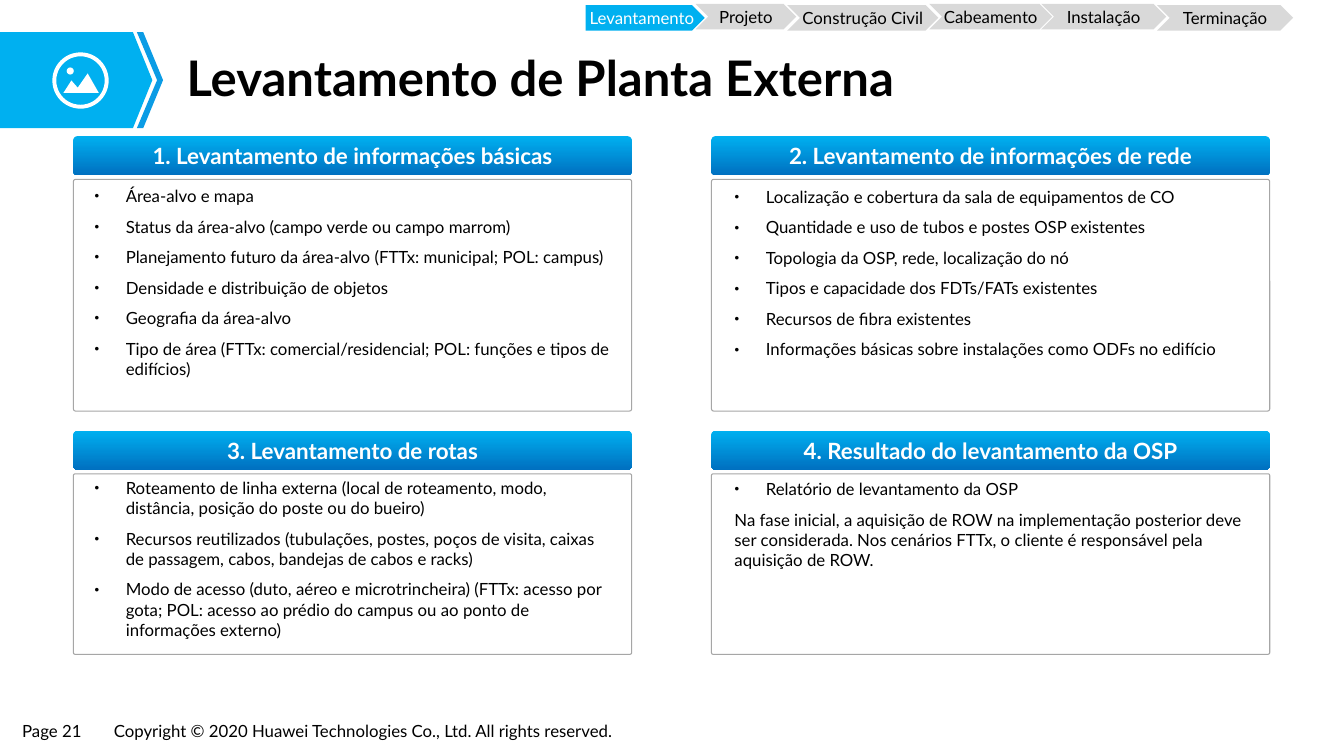
from lxml import etree
from pptx import Presentation
from pptx.dml.color import RGBColor
from pptx.enum.shapes import MSO_SHAPE
from pptx.enum.text import MSO_ANCHOR, MSO_AUTO_SIZE, PP_ALIGN
from pptx.oxml.ns import qn
from pptx.util import Cm, Pt

LEFT, CENTER = PP_ALIGN.LEFT, PP_ALIGN.CENTER
TOP, MIDDLE = MSO_ANCHOR.TOP, MSO_ANCHOR.MIDDLE
NO_AUTOFIT = MSO_AUTO_SIZE.NONE
DONUT, OVAL, ROUNDED = MSO_SHAPE.DONUT, MSO_SHAPE.OVAL, MSO_SHAPE.ROUNDED_RECTANGLE
PENTAGON, CHEVRON = MSO_SHAPE.PENTAGON, MSO_SHAPE.CHEVRON

FONT = "Lato"
CYAN, BLUE, STRIPE = "00B0F0", "0070C0", "0B9CE5"
BLACK, WHITE, LIGHT_GRAY, GRAY = "000000", "FFFFFF", "D9D9D9", "A6A6A6"
COMPARISON_LAYOUT = 4
PANEL_WIDTH, HEADER_HEIGHT, FRAME_OFFSET = 14.07, 0.99, 1.09
COLUMN_LEFTS = [1.85, 17.93]
ROWS = [(3.43, 5.84), (10.85, 4.55)]
STEP_HEIGHT = 0.64

STEPS = [
    ("Levantamento", 14.76, 0.13, 3.0),
    ("Projeto", 17.53, 0.1, 2.54),
    ("Construção Civil", 19.84, 0.13, 3.81),
    ("Cabeamento", 23.42, 0.1, 3.1),
    ("Instalação", 26.24, 0.1, 3.15),
    ("Terminação", 29.16, 0.13, 3.43),
]

PANELS = [
    ("1. Levantamento de informações básicas", (2.13, 4.55, 13.79), [
        "Área-alvo e mapa",
        "Status da área-alvo (campo verde ou campo marrom)",
        "Planejamento futuro da área-alvo (FTTx: municipal; POL: campus)",
        "Densidade e distribuição de objetos",
        "Geografia da área-alvo",
        "Tipo de área (FTTx: comercial/residencial; POL: funções e tipos de edifícios)",
    ], None),
    ("2. Levantamento de informações de rede", (18.26, 4.57, 13.39), [
        "Localização e cobertura da sala de equipamentos de CO",
        "Quantidade e uso de tubos e postes OSP existentes",
        "Topologia da OSP, rede, localização do nó",
        "Tipos e capacidade dos FDTs/FATs existentes",
        "Recursos de fibra existentes",
        "Informações básicas sobre instalações como ODFs no edifício",
    ], None),
    ("3. Levantamento de rotas", (2.13, 11.91, 13.39), [
        "Roteamento de linha externa (local de roteamento, modo, distância, "
        "posição do poste ou do bueiro)",
        "Recursos reutilizados (tubulações, postes, poços de visita, caixas de passagem, "
        "cabos, bandejas de cabos e racks)",
        "Modo de acesso (duto, aéreo e microtrincheira) (FTTx: acesso por gota; "
        "POL: acesso ao prédio do campus ou ao ponto de informações externo)",
    ], None),
    ("4. Resultado do levantamento da OSP", (18.26, 11.94, 13.39), [
        "Relatório de levantamento da OSP",
    ], "Na fase inicial, a aquisição de ROW na implementação posterior deve ser considerada. "
       "Nos cenários FTTx, o cliente é responsável pela aquisição de ROW."),
]


def color(hex_string):
    return RGBColor.from_string(hex_string)


def apply(target, values):
    for name, value in values.items():
        setattr(target, name, value)


def place(shape, left, top, width, height):
    apply(shape, {"left": Cm(left), "top": Cm(top), "width": Cm(width), "height": Cm(height)})


def write(paragraph, text, size, hex_string, bold=False, align=LEFT):
    paragraph.alignment = align
    run = paragraph.add_run()
    run.text = text
    apply(run.font, {"name": FONT, "size": Pt(size), "bold": bold})
    run.font.color.rgb = color(hex_string)


def set_frame(frame, anchor, horizontal=0.25, vertical=0.13):
    apply(frame, {
        "word_wrap": True, "auto_size": NO_AUTOFIT, "vertical_anchor": anchor,
        "margin_left": Cm(horizontal), "margin_right": Cm(horizontal),
        "margin_top": Cm(vertical), "margin_bottom": Cm(vertical),
    })


def paint(shape, hex_string):
    shape.shadow.inherit = False
    shape.line.fill.background()
    shape.fill.solid()
    shape.fill.fore_color.rgb = color(hex_string)


def add_preset(slide, kind, box, fill):
    shape = slide.shapes.add_shape(kind, *map(Cm, box))
    paint(shape, fill)
    return shape


def add_outline(slide, points, fill):
    start, *others = [(Cm(x), Cm(y)) for x, y in points]
    builder = slide.shapes.build_freeform(*start)
    builder.add_line_segments(others)
    paint(builder.convert_to_shape(), fill)


def add_banner(slide):
    add_outline(slide, [(0, 0.81), (3.35, 0.81), (3.84, 2.02), (3.35, 3.23), (0, 3.23)], CYAN)
    add_outline(slide, [(3.45, 0.81), (3.61, 0.81), (4.11, 2.02), (3.61, 3.23), (3.45, 3.23),
                        (3.96, 2.02)], STRIPE)
    ring = add_preset(slide, DONUT, (1.32, 1.32, 1.42, 1.42), WHITE)
    ring.adjustments[0] = 0.07
    add_outline(slide, [(1.6, 2.34), (1.8, 2.03), (1.96, 2.21), (2.21, 1.85), (2.49, 2.34)], WHITE)
    add_preset(slide, OVAL, (1.68, 1.7, 0.18, 0.18), WHITE)


def add_title(slide, text):
    title = slide.shapes.title
    place(title, 4.42, 1.14, 27.3, 1.78)
    set_frame(title.text_frame, MIDDLE, 0.28, 0.15)
    paragraph = title.text_frame.paragraphs[0]
    paragraph.line_spacing = 0.9
    write(paragraph, text, 35, BLACK, bold=True)


def add_step(slide, text, left, top, width, active):
    kind, fill, ink = (PENTAGON, CYAN, WHITE) if active else (CHEVRON, LIGHT_GRAY, BLACK)
    step = add_preset(slide, kind, (left, top, width, STEP_HEIGHT), fill)
    set_frame(step.text_frame, MIDDLE, 0, 0)
    write(step.text_frame.paragraphs[0], text, 12, ink, align=CENTER)


def add_header(slide, text, left, top):
    header = add_preset(slide, ROUNDED, (left, top, PANEL_WIDTH, HEADER_HEIGHT), CYAN)
    header.adjustments[0] = 0.11
    header.fill.gradient()
    header.fill.gradient_angle = 270
    for stop, position, hex_string in zip(header.fill.gradient_stops, (0, 1), (CYAN, BLUE)):
        stop.position = position
        stop.color.rgb = color(hex_string)
    set_frame(header.text_frame, MIDDLE)
    write(header.text_frame.paragraphs[0], text, 16, WHITE, bold=True, align=CENTER)


def add_border(slide, left, top, height):
    border = add_preset(slide, ROUNDED, (left, top, PANEL_WIDTH, height), WHITE)
    border.adjustments[0] = 0.01
    border.fill.background()
    border.line.color.rgb = color(GRAY)
    border.line.width = Pt(0.75)


def set_bullet(paragraph, bulleted):
    properties = paragraph._p.get_or_add_pPr()
    indent = Cm(0.79) if bulleted else 0
    properties.set("marL", str(indent))
    properties.set("indent", str(-indent))
    if bulleted:
        etree.SubElement(properties, qn("a:buSzPct"), val="50000")
        etree.SubElement(properties, qn("a:buChar"), char="●")
    else:
        etree.SubElement(properties, qn("a:buNone"))


def fill_list(placeholder, box, items, note):
    place(placeholder, *box)
    frame = placeholder.text_frame
    set_frame(frame, TOP)
    entries = [(item, True) for item in items] + ([(note, False)] if note else [])
    for index, (text, bulleted) in enumerate(entries):
        paragraph = frame.add_paragraph() if index else frame.paragraphs[0]
        set_bullet(paragraph, bulleted)
        paragraph.space_before = Pt(7.4 if index else 0)
        write(paragraph, text, 12, BLACK)


def add_footer(slide, text, left, width):
    box = slide.shapes.add_textbox(Cm(left), Cm(18.06), Cm(width), Cm(0.74))
    set_frame(box.text_frame, TOP, 0.23, 0.1)
    box.text_frame.word_wrap = False
    write(box.text_frame.paragraphs[0], text, 12, BLACK)


def main():
    presentation = Presentation()
    apply(presentation, {"slide_width": Cm(33.87), "slide_height": Cm(19.05)})
    slide = presentation.slides.add_slide(presentation.slide_layouts[COMPARISON_LAYOUT])
    add_banner(slide)
    add_title(slide, "Levantamento de Planta Externa")
    for index, step in enumerate(STEPS):
        add_step(slide, *step, active=index == 0)
    for index, (heading, (text_left, text_top, text_width), items, note) in enumerate(PANELS):
        left = COLUMN_LEFTS[index % 2]
        top, height = ROWS[index // 2]
        add_header(slide, heading, left, top)
        add_border(slide, left, top + FRAME_OFFSET, height)
        fill_list(slide.placeholders[index + 1], (text_left, text_top, text_width, height),
                  items, note)
    add_footer(slide, "Page 21", 0.33, 2.06)
    add_footer(slide, "Copyright © 2020 Huawei Technologies Co., Ltd. All rights reserved.",
               2.64, 13.74)
    presentation.save("out.pptx")


if __name__ == "__main__":
    main()
